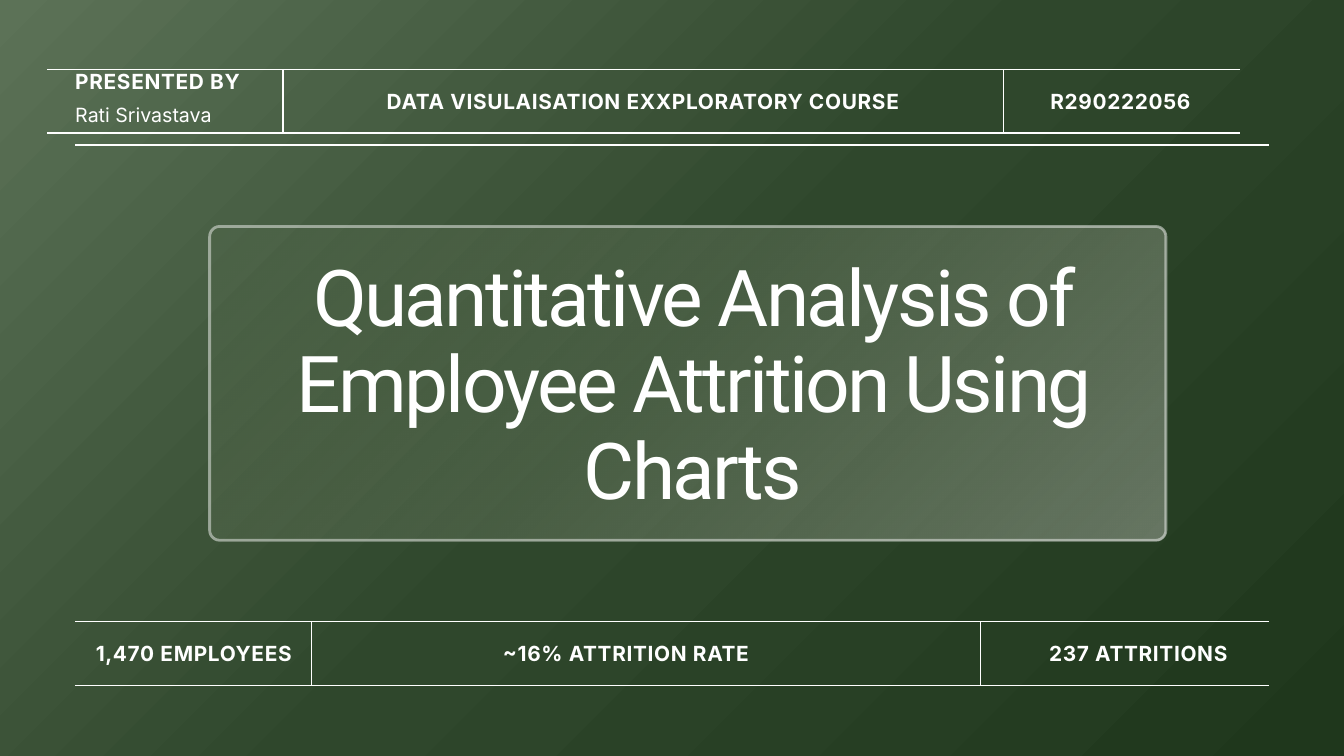
from pptx import Presentation
from pptx.dml.color import RGBColor
from pptx.enum.shapes import MSO_CONNECTOR, MSO_SHAPE
from pptx.enum.text import MSO_AUTO_SIZE, PP_ALIGN
from pptx.oxml import parse_xml
from pptx.oxml.ns import nsdecls, qn
from pptx.util import Inches, Pt

COLORS = {
    "white": "FFFFFF", "moss": "5C7257", "forest": "2F472C",
    "pine": "1F371C", "sage": "A3B18A", "cream": "F4F1ED",
}
LINEAR = '<a:lin ang="2700000" scaled="0"/>'
RADIAL = '<a:path path="circle"><a:fillToRect r="100000" b="100000"/></a:path>'

# Text formats: font values, line spacing and letter spacing in points
TITLE = {"font": {"name": "Roboto", "size": Pt(84), "bold": False},
         "leading": 92.4, "spc": -2.9}
LABEL = {"font": {"name": "Inter", "size": Pt(22.3), "bold": True},
         "leading": 24.5, "spc": 0.7}
NAME = {"font": {"name": "Inter", "size": Pt(21), "bold": False},
        "leading": 29.4, "spc": 0}


def rgb(name):
    return RGBColor.from_string(COLORS[name])


class Deck:
    """Holds the current slide and draws its elements in one style."""

    def __init__(self, prs):
        self.s = prs.slides.add_slide(prs.slide_layouts[6])

    def gradient(self, fill, element, stops, direction):
        """Fill with stops of (position %, colour name, opacity %)."""
        fill.gradient()
        gs = "".join(
            f'<a:gs pos="{pos * 1000}"><a:srgbClr val="{COLORS[color]}">'
            f'<a:alpha val="{alpha * 1000}"/></a:srgbClr></a:gs>'
            for pos, color, alpha in stops)
        new = parse_xml(f'<a:gradFill {nsdecls("a")} rotWithShape="1">'
                        f'<a:gsLst>{gs}</a:gsLst>{direction}</a:gradFill>')
        old = next(element.iter(qn("a:gradFill")))
        old.getparent().replace(old, new)

    def background(self, stops):
        self.gradient(self.s.background.fill, self.s.element, stops, RADIAL)

    def line(self, x1, y1, x2, y2):
        c = self.s.shapes.add_connector(
            MSO_CONNECTOR.STRAIGHT, *map(Inches, (x1, y1, x2, y2)))
        c.line.color.rgb = rgb("white")
        c.line.width = Pt(1.5)
        c._element.spPr.append(parse_xml(f'<a:effectLst {nsdecls("a")}/>'))

    def band(self, left, right, top, bottom, dividers):
        for y in (top, bottom):
            self.line(left, y, right, y)
        for x in dividers:
            self.line(x, bottom, x, top)

    def panel(self, x, y, w, h, radius, stops):
        sp = self.s.shapes.add_shape(
            MSO_SHAPE.ROUNDED_RECTANGLE, *map(Inches, (x, y, w, h)))
        sp.adjustments[0] = radius / min(w, h)
        sp.shadow.inherit = False
        self.gradient(sp.fill, sp._element, stops, LINEAR)
        sp.line.color.rgb = rgb("white")
        sp.line.width = Pt(3)
        # Translucent outline
        clr = sp.line._ln.find(".//" + qn("a:srgbClr"))
        clr.append(parse_xml(f'<a:alpha {nsdecls("a")} val="45000"/>'))

    def text(self, text, x, y, w, h, fmt=LABEL, align=PP_ALIGN.CENTER):
        sp = self.s.shapes.add_textbox(*map(Inches, (x, y, w, h)))
        tf = sp.text_frame
        tf.word_wrap = True
        tf.auto_size = MSO_AUTO_SIZE.SHAPE_TO_FIT_TEXT
        for side in ("left", "top", "right", "bottom"):
            setattr(tf, f"margin_{side}", 0)
        p = tf.paragraphs[0]
        p.alignment = align
        p.line_spacing = Pt(fmt["leading"])
        r = p.add_run()
        r.text = text
        for key, value in fmt["font"].items():
            setattr(r.font, key, value)
        r.font.color.rgb = rgb("white")
        r._r.get_or_add_rPr().set("spc", str(round(fmt["spc"] * 100)))


def main():
    prs = Presentation()
    prs.slide_width, prs.slide_height = Inches(20), Inches(11.25)
    deck = Deck(prs)
    deck.background([(0, "moss", 100), (50, "forest", 100), (100, "pine", 100)])

    # Title panel
    deck.panel(3.12, 3.37, 14.23, 4.67, 0.15,
               [(0, "sage", 4), (100, "cream", 32)])
    deck.text("Quantitative Analysis of Employee Attrition Using Charts",
              3.88, 3.81, 12.86, 3.88, TITLE)

    # Header band: presenter, course, number
    deck.band(0.7, 18.45, 1.03, 1.98, (4.21, 14.93))
    deck.line(1.12, 2.16, 18.88, 2.16)
    deck.text("PRESENTED BY", 1.12, 1.06, 3.53, 0.34, align=PP_ALIGN.LEFT)
    deck.text("Rati Srivastava", 1.12, 1.47, 3.53, 0.39, NAME, PP_ALIGN.LEFT)
    deck.text("DATA VISULAISATION EXXPLORATORY COURSE", 4.56, 1.35, 10.02, 0.34)
    deck.text("R290222056", 14.91, 1.35, 3.53, 0.34)

    # Footer band: key figures
    deck.band(1.12, 18.88, 9.25, 10.2, (4.64, 14.59))
    for figure, x, w in (("1,470 EMPLOYEES", 1.12, 3.53),
                         ("~16% ATTRITION RATE", 7.04, 4.55),
                         ("237 ATTRITIONS", 15.01, 3.86)):
        deck.text(figure, x, 9.56, w, 0.34)

    prs.save("out.pptx")


if __name__ == "__main__":
    main()
